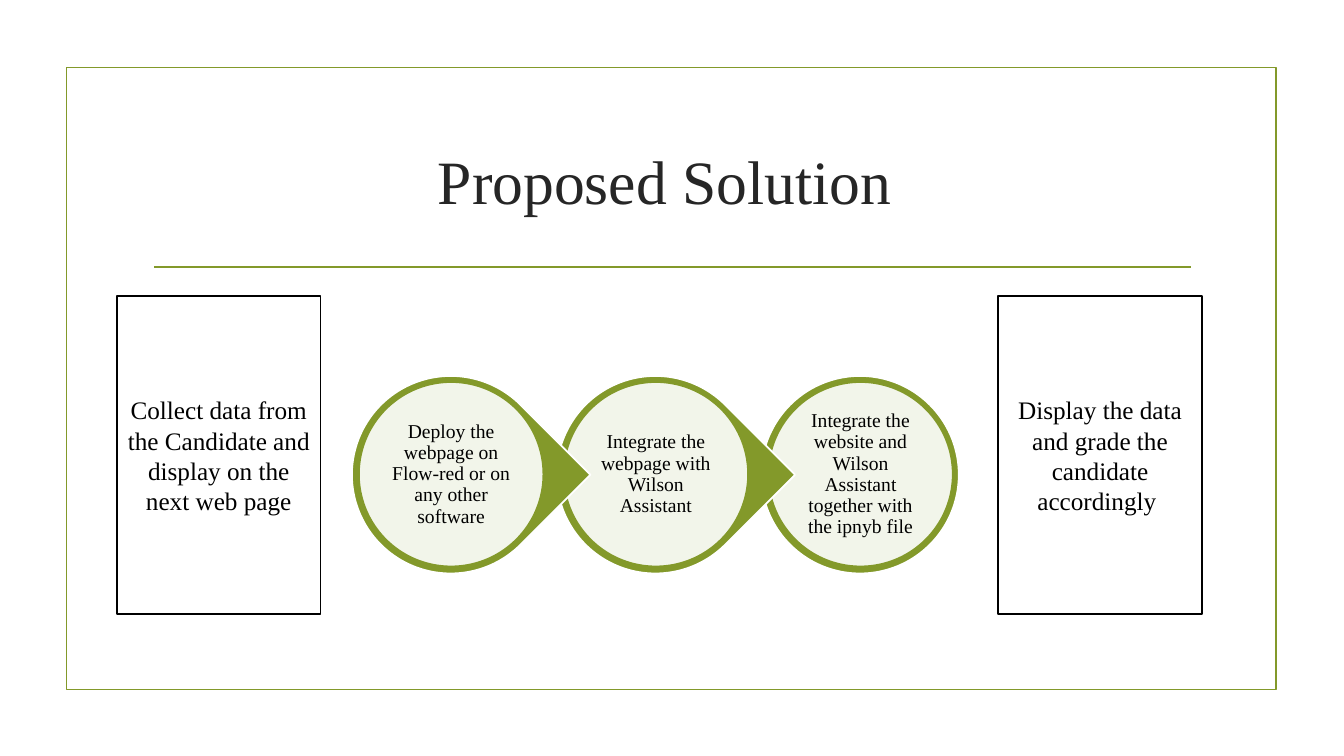
from lxml import etree
from pptx import Presentation
from pptx.dml.color import RGBColor
from pptx.enum.shapes import MSO_CONNECTOR, MSO_SHAPE
from pptx.enum.text import MSO_ANCHOR, PP_ALIGN
from pptx.oxml.ns import qn
from pptx.util import Inches, Pt

GREEN = RGBColor(0x83, 0x99, 0x2A)
WHITE = RGBColor(0xFF, 0xFF, 0xFF)
BLACK = RGBColor(0x00, 0x00, 0x00)
DARK = RGBColor(0x26, 0x26, 0x26)

RECT = MSO_SHAPE.RECTANGLE
OVAL = MSO_SHAPE.OVAL
TEAR = MSO_SHAPE.TEAR
STRAIGHT = MSO_CONNECTOR.STRAIGHT
CENTER = PP_ALIGN.CENTER
MIDDLE = MSO_ANCHOR.MIDDLE

FONT = "Times New Roman"
STROKE = Pt(1.25)
STEP = 2.03  # distance between neighbouring circles
STEPS = [
    "Deploy the webpage on Flow-red or on any other software",
    "Integrate the webpage with Wilson Assistant",
    "Integrate the website and Wilson Assistant together with the ipnyb file",
]
BOXES = [
    (1.16, "Collect data from the Candidate and display on the next web page"),
    (9.9, "Display the data and grade the candidate accordingly "),
]


def write(shape, text, size=18, color=BLACK, space=None, inset=None):
    frame = shape.text_frame
    frame.word_wrap = True
    frame.vertical_anchor = MIDDLE
    if inset is not None:
        frame.margin_left = frame.margin_right = Inches(inset)
        frame.margin_top = frame.margin_bottom = Inches(inset)
    para = frame.paragraphs[0]
    para.alignment = CENTER
    if space:
        para.line_spacing = space
    run = para.add_run()
    run.text = text
    run.font.name = FONT
    run.font.size = Pt(size)
    run.font.color.rgb = color


def label(slide, left, top, width, height, text, **style):
    box = slide.shapes.add_textbox(
        Inches(left), Inches(top), Inches(width), Inches(height))
    write(box, text, **style)


def draw(slide, kind, left, top, width, height, line, fill=None, alpha=None):
    shape = slide.shapes.add_shape(
        kind, Inches(left), Inches(top), Inches(width), Inches(height))
    shape.shadow.inherit = False
    shape.line.color.rgb = line
    shape.line.width = STROKE
    if fill is None:
        shape.fill.background()
    else:
        shape.fill.solid()
        shape.fill.fore_color.rgb = fill
    if alpha is not None:
        tint = shape.fill._xPr.find(qn("a:solidFill"))[0]
        etree.SubElement(tint, qn("a:alpha"), val=str(alpha * 1000))
    return shape


def rule(slide, left, right, top):
    line = slide.shapes.add_connector(
        STRAIGHT, Inches(left), Inches(top), Inches(right), Inches(top))
    line.line.color.rgb = GREEN
    line.line.width = STROKE
    etree.SubElement(line._element.spPr, qn("a:effectLst"))


def stage(slide, left, text, last):
    disc = draw(slide, OVAL if last else TEAR, left, 3.73, 1.96, 1.96,
                WHITE, GREEN)
    if not last:
        disc.rotation = 45
    draw(slide, OVAL, left + 0.07, 3.79, 1.83, 1.83, GREEN, WHITE, alpha=90)
    label(slide, left + 0.33, 4.05, 1.31, 1.31, text,
          size=14, space=0.9, inset=0.02)


def main():
    deck = Presentation()
    deck.slide_width = Inches(13.33)
    deck.slide_height = Inches(7.5)
    slide = deck.slides.add_slide(deck.slide_layouts[6])

    # Frame, title and rule
    draw(slide, RECT, 0.66, 0.67, 12, 6.17, GREEN)
    rule(slide, 1.53, 11.81, 2.65)
    label(slide, 1.42, 1.07, 10.5, 1.43, "Proposed Solution ",
          size=44, color=DARK)

    # Boxes at both ends
    for left, text in BOXES:
        box = draw(slide, RECT, left, 2.94, 2.02, 3.15, BLACK, WHITE)
        write(box, text)

    # Chain of circles, right to left so each tip overlaps the next circle
    end = len(STEPS) - 1
    for i in range(end, -1, -1):
        stage(slide, 3.49 + i * STEP, STEPS[i], last=i == end)

    deck.save("out.pptx")


if __name__ == "__main__":
    main()
